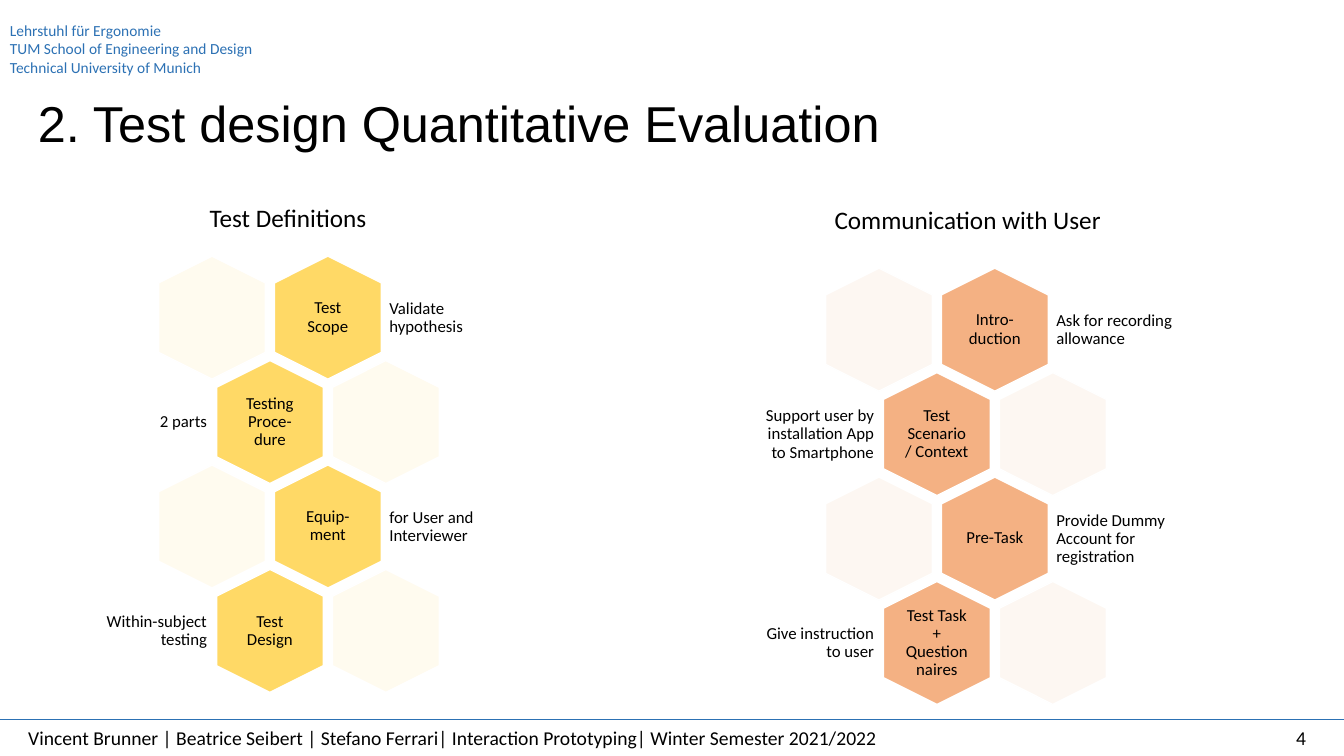
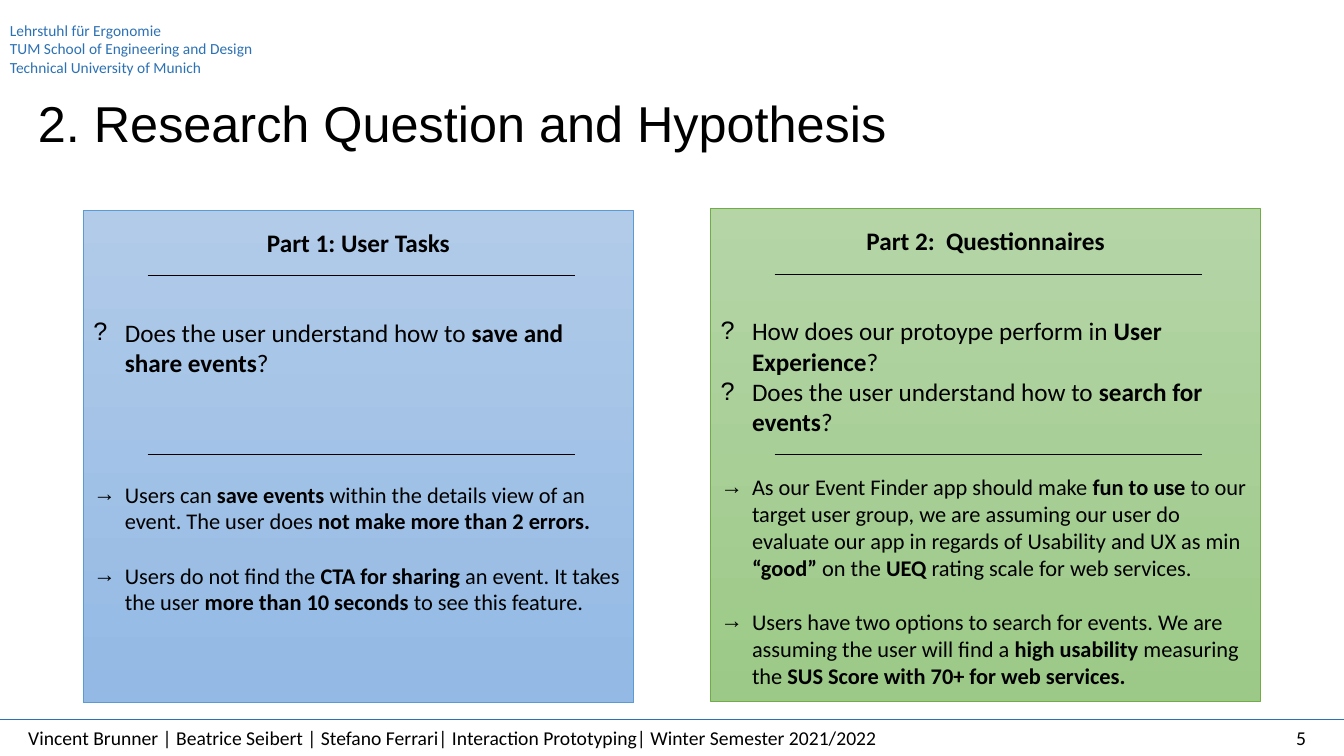
from lxml import etree
from pptx import Presentation
from pptx.dml.color import RGBColor
from pptx.enum import shapes, text
from pptx.oxml import ns
from pptx.util import Pt

BLACK = RGBColor(0x00, 0x00, 0x00)
WHITE = RGBColor(0xFF, 0xFF, 0xFF)
UNIVERSITY_BLUE = RGBColor(0x2C, 0x71, 0xB4)
YELLOW = RGBColor(0xFF, 0xD9, 0x66)
PALE_YELLOW = RGBColor(0xFF, 0xF2, 0xCC)
ORANGE = RGBColor(0xF4, 0xB1, 0x83)
PALE_ORANGE = RGBColor(0xFB, 0xE5, 0xD6)
BLUE_EDGE = RGBColor(0x5B, 0x9B, 0xD5)
BLUE_TOP = RGBColor(0xB1, 0xCB, 0xE9)
BLUE_BOTTOM = RGBColor(0x93, 0xB9, 0xE4)
GREEN_EDGE = RGBColor(0x70, 0xAD, 0x47)
GREEN_TOP = RGBColor(0xB5, 0xD5, 0xA7)
GREEN_BOTTOM = RGBColor(0x9C, 0xC9, 0x87)

LEFT, CENTER, RIGHT = text.PP_ALIGN.LEFT, text.PP_ALIGN.CENTER, text.PP_ALIGN.RIGHT
TOP, MIDDLE = text.MSO_ANCHOR.TOP, text.MSO_ANCHOR.MIDDLE

WIDTH, HEIGHT = 960, 540
FOOTER_TOP = 514
HEX_LENGTH, HEX_BREADTH = 87.84, 76.32
HALF_STEP, ROW_STEP = 41.4, 74.6
PANEL_WIDTH, PANEL_HEIGHT = 393, 352
INDENT = 22.5

INSTITUTE = [
    "Lehrstuhl für Ergonomie",
    "TUM School of Engineering and Design",
    "Technical University of Munich",
]
CREDITS = (
    "Vincent Brunner | Beatrice Seibert | Stefano Ferrari| "
    "Interaction Prototyping| Winter Semester 2021/2022"
)


class Deck:
    def __init__(self):
        self.prs = Presentation()
        self.prs.slide_width, self.prs.slide_height = Pt(WIDTH), Pt(HEIGHT)
        self.slide = None

    def new_slide(self, title, number):
        self.slide = self.prs.slides.add_slide(self.prs.slide_layouts[6])
        self.rule(0, FOOTER_TOP, WIDTH, UNIVERSITY_BLUE)
        self.label(0, 11.5, 300, 47.5, "\v".join(INSTITUTE), 11, color=UNIVERSITY_BLUE)
        self.label(13, FOOTER_TOP, 636, 26, CREDITS, 14, anchor=MIDDLE)
        self.label(724, FOOTER_TOP, 216, 26, str(number), 14, RIGHT, MIDDLE)
        self.label(20, 67, 729, 52, title, 36, font="Arial", spacing=0.9)

    def frame(self, x, y, w, h, anchor=TOP, inset=None):
        frame = self.slide.shapes.add_textbox(Pt(x), Pt(y), Pt(w), Pt(h)).text_frame
        frame.word_wrap = True
        frame.vertical_anchor = anchor
        if inset is not None:
            frame.margin_left = frame.margin_right = Pt(inset)
            frame.margin_top = frame.margin_bottom = Pt(inset)
        return frame

    def add_runs(self, paragraph, marked, size, color=BLACK, font="Calibri"):
        paragraph.font.size = Pt(size)
        for part, words in enumerate(marked.split("*")):
            for line, content in enumerate(words.split("\v")):
                if line:
                    paragraph.add_line_break()
                if content:
                    run = paragraph.add_run()
                    run.text = content
                    run.font.name = font
                    run.font.size = Pt(size)
                    run.font.bold = part % 2 == 1
                    run.font.color.rgb = color

    def label(self, x, y, w, h, words, size, align=LEFT, anchor=TOP,
              color=BLACK, font="Calibri", spacing=None, inset=None):
        paragraph = self.frame(x, y, w, h, anchor, inset).paragraphs[0]
        paragraph.alignment = align
        if spacing:
            paragraph.line_spacing = spacing
        self.add_runs(paragraph, words, size, color, font)

    def bullets(self, x, y, h, mark, items, size, gap=0):
        frame = self.frame(x, y, PANEL_WIDTH, h)
        for index, item in enumerate(items):
            paragraph = frame.add_paragraph() if index else frame.paragraphs[0]
            properties = paragraph._p.get_or_add_pPr()
            properties.set("marL", str(Pt(INDENT)))
            properties.set("indent", str(-Pt(INDENT)))
            if index and gap:
                paragraph.space_before = Pt(gap)
            etree.SubElement(properties, ns.qn("a:buFont")).set("typeface", "Arial")
            etree.SubElement(properties, ns.qn("a:buChar")).set("char", mark)
            self.add_runs(paragraph, item, size)

    def rule(self, x, y, w, color=BLACK):
        line = self.slide.shapes.add_connector(
            shapes.MSO_CONNECTOR.STRAIGHT, Pt(x), Pt(y), Pt(x + w), Pt(y))
        line.line.color.rgb = color
        line.line.width = Pt(0.5)
        etree.SubElement(line._element.spPr, ns.qn("a:effectLst"))

    def hexagon(self, x, y, color, opacity=None):
        cell = self.slide.shapes.add_shape(
            shapes.MSO_SHAPE.HEXAGON, Pt(x), Pt(y), Pt(HEX_LENGTH), Pt(HEX_BREADTH))
        cell.rotation = 90
        cell.adjustments[0] = 0.25
        cell.shadow.inherit = False
        cell.fill.solid()
        cell.fill.fore_color.rgb = color
        cell.line.color.rgb = WHITE
        cell.line.width = Pt(1)
        if opacity:
            tint = cell._element.spPr.find(ns.qn("a:solidFill"))[0]
            etree.SubElement(tint, ns.qn("a:alpha")).set("val", str(opacity * 1000))

    def honeycomb(self, x, y, color, pale, steps):
        for row, (step, note) in enumerate(steps):
            top = y + row * ROW_STEP
            on_right = row % 2 == 0
            step_left = x + HALF_STEP * (2 if on_right else 1)
            self.hexagon(step_left, top, color)
            self.hexagon(x + HALF_STEP * (0 if on_right else 3), top, pale, 30)
            note_left, note_width, align = (167, 98, LEFT) if on_right else (-51, 95, RIGHT)
            for left, shift, w, h, words, side in (
                (step_left + 17.6, 7.9, 52.6, 60.5, step, CENTER),
                (x + note_left, 12.1, note_width, 52.6, note, align),
            ):
                self.label(left, top + shift, w, h, words, 12, side, MIDDLE,
                           spacing=0.9, inset=3.6)

    def panel(self, x, y, heading, edge, shades, questions, hypotheses, hypotheses_top):
        card = self.slide.shapes.add_shape(
            shapes.MSO_SHAPE.RECTANGLE, Pt(x), Pt(y), Pt(PANEL_WIDTH), Pt(PANEL_HEIGHT))
        card.shadow.inherit = False
        card.fill.gradient()
        card.fill.gradient_angle = 270
        for stop, shade in zip(card.fill.gradient_stops, shades):
            stop.color.rgb = shade
        card.line.color.rgb = edge
        card.line.width = Pt(0.5)
        self.label(x, y + 8.6, PANEL_WIDTH, 29, f"*{heading}*", 18, CENTER)
        self.bullets(x, y + 73, 94, "?", questions, 18)
        self.bullets(x, hypotheses_top, 181, "→", hypotheses, 16, gap=19.5)
        for level in (y + 47, 324.7):
            self.rule(x + 45.8, level, 305.5)


def main():
    deck = Deck()

    deck.new_slide("2. Test design Quantitative Evaluation", 4)
    deck.label(589, 142.6, 207, 29, "Communication with User", 18)
    deck.label(142.6, 141.1, 188, 29, "Test Definitions", 18)
    deck.honeycomb(107.5, 188.7, YELLOW, PALE_YELLOW, [
        ("Test Scope", "Validate hypothesis"),
        ("Testing Proce-dure", "2 parts"),
        ("Equip-ment", "for User and Interviewer"),
        ("Test Design", "Within-subject testing"),
    ])
    deck.honeycomb(583.9, 197.3, ORANGE, PALE_ORANGE, [
        ("Intro- duction", "Ask for recording allowance"),
        ("Test Scenario / Context", "Support user by installation App to Smartphone"),
        ("Pre-Task", "Provide Dummy Account for registration"),
        ("Test Task + Questionnaires", "Give instruction to user"),
    ])

    deck.new_slide("2. Research Question and Hypothesis", 5)
    deck.panel(
        59.6, 150, "Part 1: User Tasks", BLUE_EDGE, (BLUE_TOP, BLUE_BOTTOM),
        ["Does the user understand how to *save and share events*?"],
        ["Users can *save events *within the details view of an event. "
         "The user does *not make more than 2 errors.*",
         "Users do not find the *CTA for sharing *an event. It takes the user "
         "*more than 10 seconds *to see this feature."],
        339.8)
    deck.panel(
        507.6, 149, "Part 2:  Questionnaires", GREEN_EDGE, (GREEN_TOP, GREEN_BOTTOM),
        ["How does our protoype perform in *User Experience*?",
         "Does the user understand how to *search for events*?"],
        ["As our Event Finder app should make *fun to use *to our target user group, "
         "we are assuming our user do evaluate our app in regards of Usability and UX "
         "as min *“good” *on the *UEQ* rating scale for web services.",
         "Users have two options to search for events. We are assuming the user will "
         "find a *high usability *measuring the *SUS Score with 70+ for web services.*"],
        334.4)

    deck.prs.save("out.pptx")


if __name__ == "__main__":
    main()
